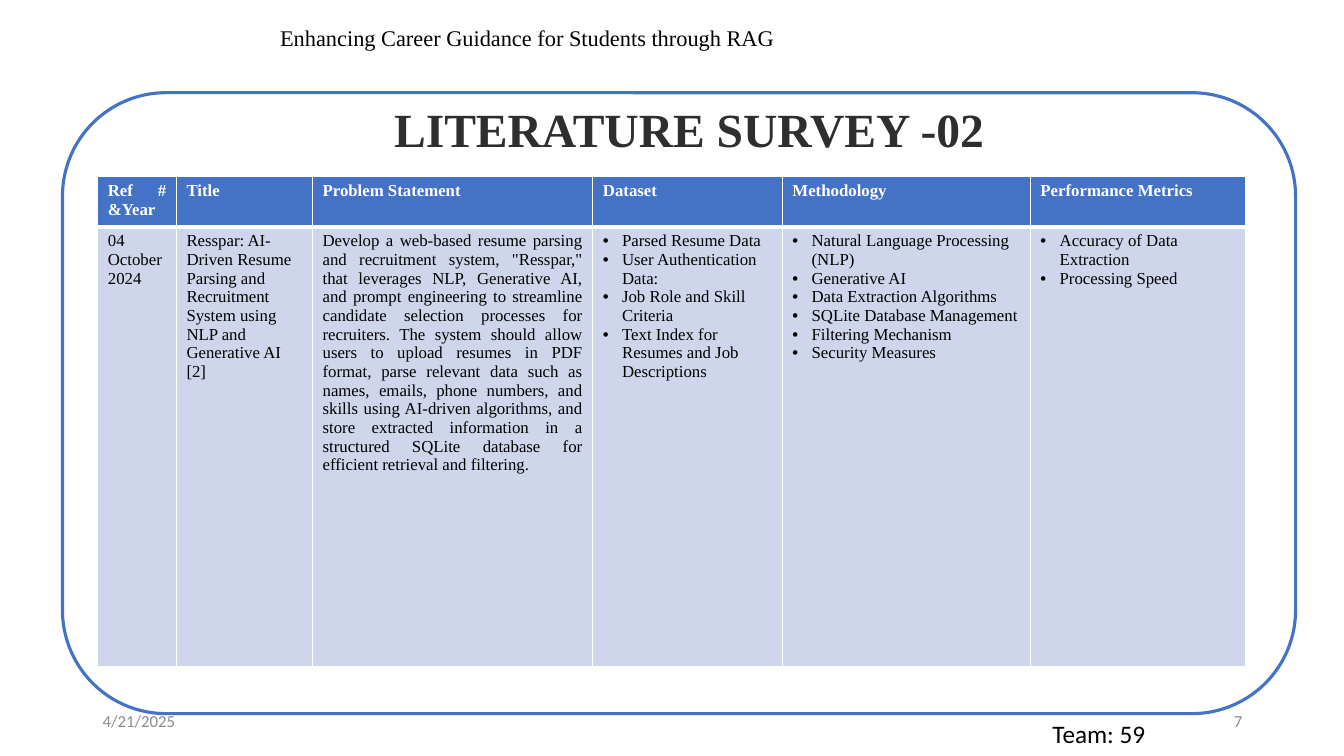
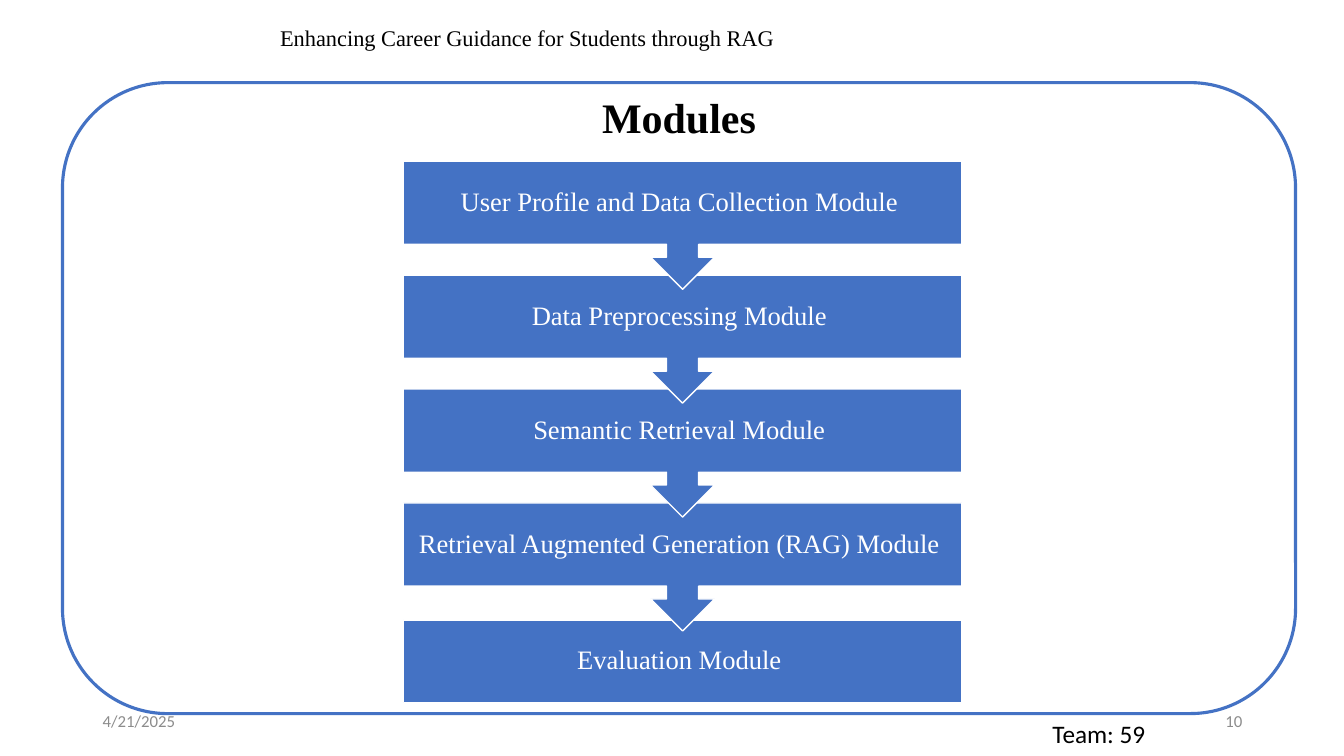
"""Build the literature survey and modules slides of the career guidance deck."""
from dataclasses import dataclass

from lxml.etree import SubElement
from pptx import Presentation
from pptx.dml.color import RGBColor
from pptx.enum.shapes import MSO_SHAPE
from pptx.enum.text import MSO_ANCHOR, PP_ALIGN
from pptx.oxml.ns import qn
from pptx.util import Inches, Pt


@dataclass(frozen=True)
class Theme:
    blue: str = "4472C4"
    pale: str = "CFD5EA"
    white: str = "FFFFFF"
    black: str = "000000"
    charcoal: str = "2E2E2E"
    gray: str = "8C8C8C"
    serif: str = "Times New Roman"
    sans: str = "Calibri"
    survey_title: int = 34
    modules_title: int = 30
    module: int = 19
    team: int = 18
    running: int = 16
    small: int = 12


THEME = Theme()


def style(paragraph, size, color, font=THEME.serif, bold=False, align=PP_ALIGN.LEFT):
    """Align a paragraph and format its runs."""
    paragraph.alignment = align
    for run in paragraph.runs:
        run.font.size = Pt(size)
        run.font.name = font
        run.font.bold = bold
        run.font.color.rgb = RGBColor.from_string(color)


def add_text(slide, box, text, size, color, anchor=MSO_ANCHOR.TOP, **options):
    """Add a wrapping one-paragraph text box."""
    frame = slide.shapes.add_textbox(*map(Inches, box)).text_frame
    frame.word_wrap = True
    frame.vertical_anchor = anchor
    frame.text = text
    style(frame.paragraphs[0], size, color, **options)


prs = Presentation()
prs.slide_width, prs.slide_height = Inches(13.33), Inches(7.5)

slides = []
for page, frame_top in (("7", 0.92), ("10", 0.82)):
    slide = prs.slides.add_slide(prs.slide_layouts[6])
    outline = slide.shapes.add_shape(
        MSO_SHAPE.ROUNDED_RECTANGLE,
        Inches(0.62), Inches(frame_top), Inches(12.23), Inches(7.08 - frame_top))
    outline.shadow.inherit = False
    outline.fill.background()
    outline.line.color.rgb = RGBColor.from_string(THEME.blue)
    outline.line.width = Pt(2.25)
    add_text(slide, (2.68, 0.19, 7.73, 0.64),
             "Enhancing Career Guidance for Students through RAG", THEME.running, THEME.black)
    add_text(slide, (10.34, 7.08, 2.99, 0.4), "Team: 59", THEME.team, THEME.black,
             font=THEME.sans)
    add_text(slide, (0.92, 6.95, 3, 0.4), "4/21/2025", THEME.small, THEME.gray,
             anchor=MSO_ANCHOR.MIDDLE, font=THEME.sans)
    add_text(slide, (9.42, 6.95, 3, 0.4), page, THEME.small, THEME.gray,
             anchor=MSO_ANCHOR.MIDDLE, font=THEME.sans, align=PP_ALIGN.RIGHT)
    slides.append(slide)

survey, modules = slides

add_text(survey, (3.81, 0.94, 6.15, 0.67), "LITERATURE SURVEY -02",
         THEME.survey_title, THEME.charcoal, bold=True)

survey_columns = [
    (0.78, "Ref # &Year", "04 October 2024", PP_ALIGN.JUSTIFY),
    (1.35, "Title",
     "Resspar: AI-Driven Resume Parsing and Recruitment System using NLP and "
     "Generative AI [2]", PP_ALIGN.LEFT),
    (2.78, "Problem Statement",
     'Develop a web-based resume parsing and recruitment system, "Resspar," that '
     "leverages NLP, Generative AI, and prompt engineering to streamline candidate "
     "selection processes for recruiters. The system should allow users to upload "
     "resumes in PDF format, parse relevant data such as names, emails, phone numbers, "
     "and skills using AI-driven algorithms, and store extracted information in a "
     "structured SQLite database for efficient retrieval and filtering.",
     PP_ALIGN.JUSTIFY),
    (1.88, "Dataset",
     ["Parsed Resume Data", "User Authentication Data:", "Job Role and Skill Criteria",
      "Text Index for Resumes and Job Descriptions"], PP_ALIGN.LEFT),
    (2.46, "Methodology",
     ["Natural Language Processing (NLP)", "Generative AI", "Data Extraction Algorithms",
      "SQLite Database Management", "Filtering Mechanism", "Security Measures"],
     PP_ALIGN.LEFT),
    (2.13, "Performance Metrics",
     ["Accuracy of Data Extraction", "Processing Speed"], PP_ALIGN.LEFT),
]
table = survey.shapes.add_table(
    2, len(survey_columns), Inches(0.97), Inches(1.75), Inches(11.38), Inches(4.85)).table
table.rows[0].height, table.rows[1].height = Inches(0.49), Inches(4.36)

for col, (width, heading, content, body_align) in enumerate(survey_columns):
    table.columns[col].width = Inches(width)
    for row, (entry, fill, color, align, rule) in enumerate((
            (heading, THEME.blue, THEME.white, PP_ALIGN.JUSTIFY, 3),
            (content, THEME.pale, THEME.black, body_align, 1))):
        cell = table.cell(row, col)
        bulleted = isinstance(entry, list)
        cell.text_frame.text = "\n".join(entry) if bulleted else entry
        for paragraph in cell.text_frame.paragraphs:
            if bulleted:
                properties = paragraph._p.get_or_add_pPr()
                properties.set("marL", str(Inches(0.19)))
                properties.set("indent", str(-Inches(0.19)))
                SubElement(properties, qn("a:buFont"), typeface="Arial")
                SubElement(properties, qn("a:buChar"), char="•")
            style(paragraph, THEME.small, color, bold=row == 0, align=align)
        cell_properties = cell._tc.get_or_add_tcPr()
        for side, points in (("L", 1), ("R", 1), ("T", 1), ("B", rule)):
            border = SubElement(cell_properties, qn(f"a:ln{side}"), w=str(Pt(points)))
            SubElement(SubElement(border, qn("a:solidFill")), qn("a:srgbClr"),
                       val=THEME.white)
        cell.fill.solid()
        cell.fill.fore_color.rgb = RGBColor.from_string(fill)

add_text(modules, (4, 0.86, 5.47, 0.61), "Modules", THEME.modules_title, THEME.black,
         bold=True, align=PP_ALIGN.CENTER)

first_top, step = 1.6, 1.13
module_names = [
    "User Profile and Data Collection Module ",
    "Data Preprocessing Module ",
    "Semantic Retrieval Module ",
    "Retrieval Augmented Generation (RAG) Module ",
]
module_steps = [(name, first_top + step * index, 1.27, MSO_SHAPE.DOWN_ARROW_CALLOUT)
                for index, name in enumerate(module_names)]
module_steps.append(("Evaluation Module ", 6.15, 0.82, MSO_SHAPE.RECTANGLE))

for name, top, height, outline_kind in reversed(module_steps):
    module = modules.shapes.add_shape(
        outline_kind, Inches(4), Inches(top), Inches(5.54), Inches(height))
    module.shadow.inherit = False
    module.fill.solid()
    module.fill.fore_color.rgb = RGBColor.from_string(THEME.blue)
    module.line.color.rgb = RGBColor.from_string(THEME.white)
    module.line.width = Pt(1)
    label = module.text_frame
    label.margin_left = label.margin_right = Inches(0.15)
    label.margin_top = label.margin_bottom = Inches(0.15)
    label.word_wrap = True
    label.vertical_anchor = MSO_ANCHOR.MIDDLE
    label.text = name
    label.paragraphs[0].line_spacing = 0.9
    style(label.paragraphs[0], THEME.module, THEME.white, align=PP_ALIGN.CENTER)

prs.save("out.pptx")
